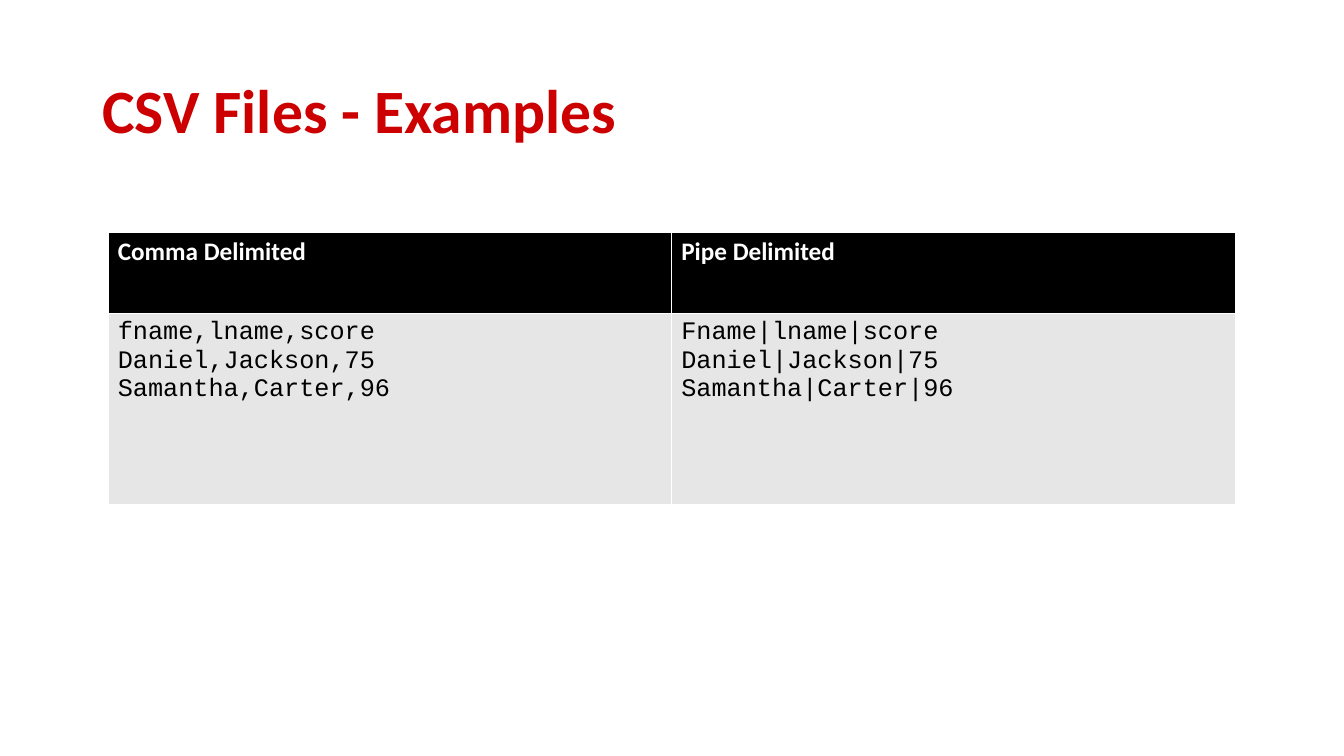
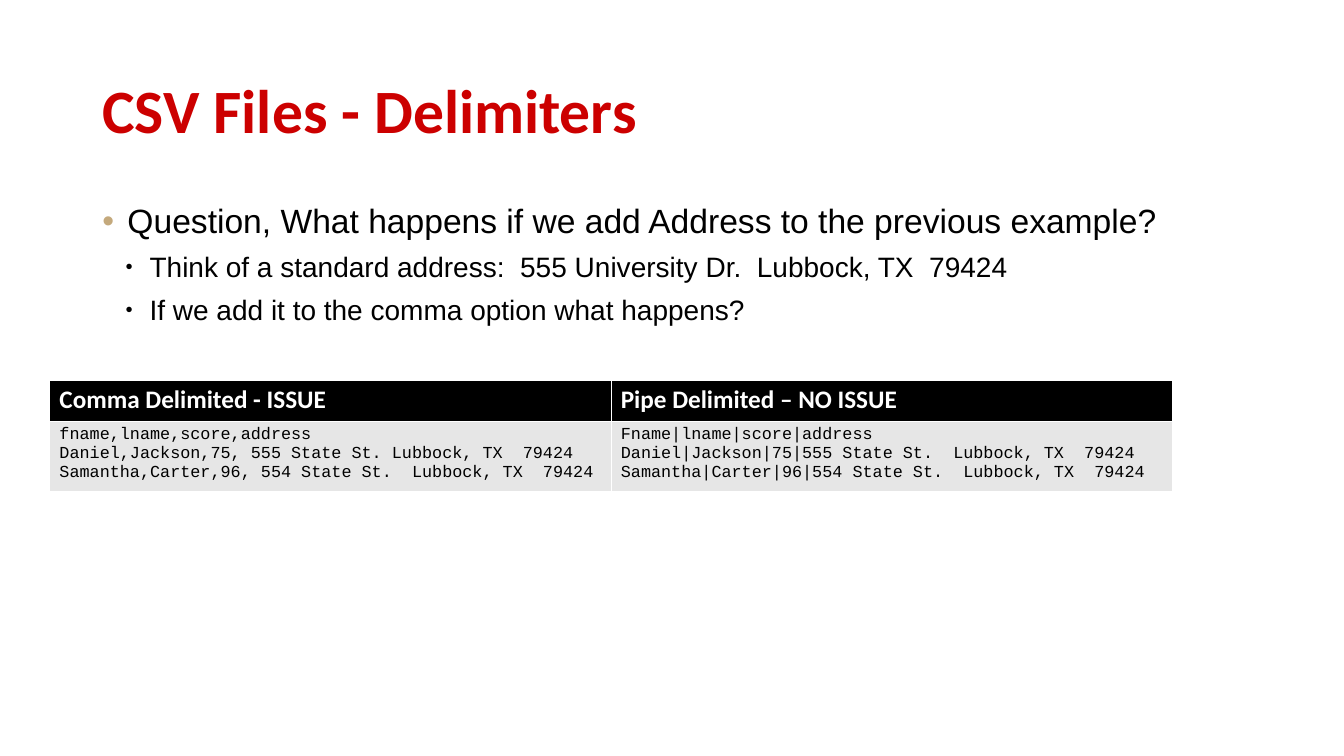
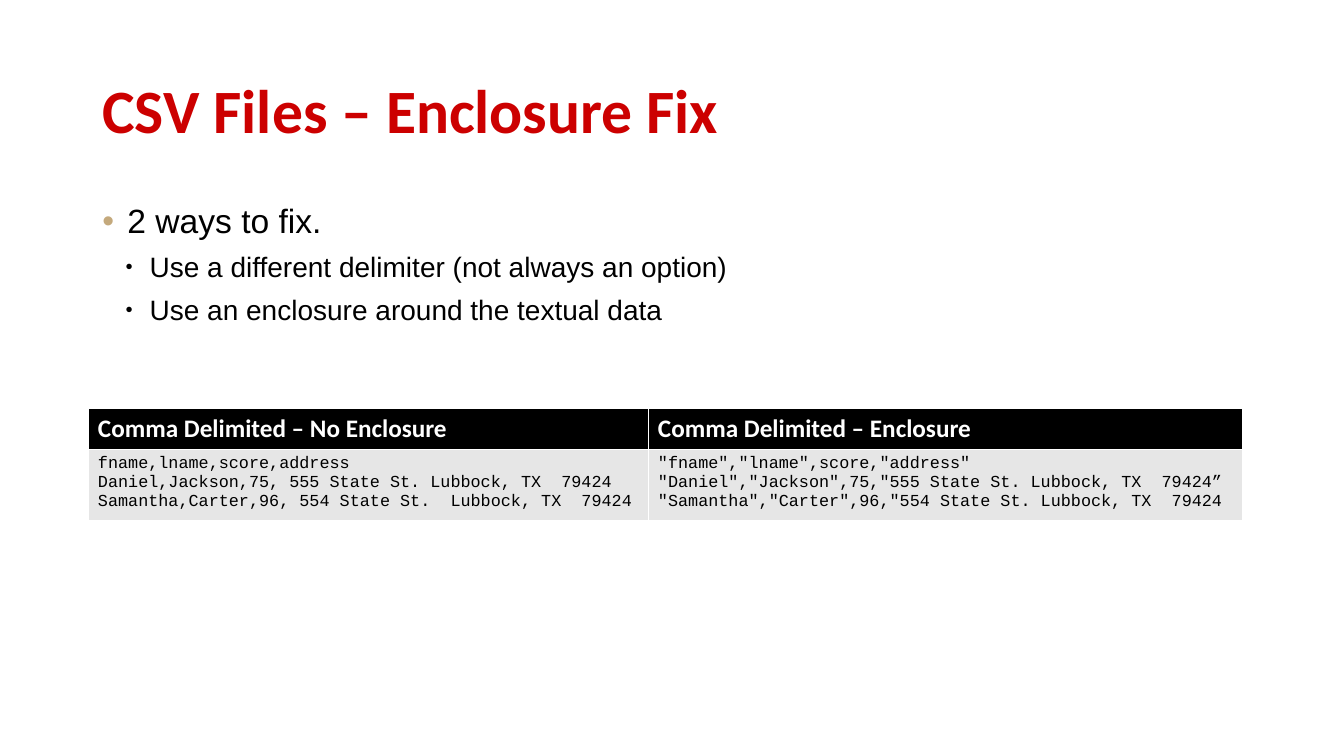
from dataclasses import dataclass

from lxml import etree
from pptx import Presentation
from pptx.dml.color import RGBColor
from pptx.enum.text import MSO_ANCHOR
from pptx.oxml.ns import qn
from pptx.util import Pt

MIDDLE, TOP = MSO_ANCHOR.MIDDLE, MSO_ANCHOR.TOP


@dataclass(frozen=True)
class Theme:
    red: str = "CC0000"
    tan: str = "C4A97C"
    black: str = "000000"
    white: str = "FFFFFF"
    grey: str = "E6E6E6"
    heading_font: str = "Calibri"
    body_font: str = "Arial"
    code_font: str = "Courier New"
    title_size: int = 44
    point_size: int = 24
    subpoint_size: int = 20
    header_size: int = 18
    border: float = 0.06


T = Theme()
TITLE_BOX = (66, 28.8, 828, 104.4)
BODY_BOX = (66, 144, 828, 342.7)


def write(p, text, *, size, font, color=T.black, bold=False,
          spacing=None, before=None):
    """Fill one paragraph with a formatted run."""
    if spacing is not None:
        p.line_spacing = spacing
    if before is not None:
        p.space_before = Pt(before)
    r = p.add_run()
    r.text = text
    r.font.size = Pt(size)
    r.font.name = font
    r.font.bold = bold
    r.font.color.rgb = RGBColor.from_string(color)


def paragraphs(tf, count):
    """Return the first paragraph of a frame and as many more as needed."""
    return [tf.paragraphs[0]] + [tf.add_paragraph() for _ in range(count - 1)]


def child(parent, tag, **attrs):
    el = etree.SubElement(parent, qn(tag))
    for name, value in attrs.items():
        el.set(name, str(value))
    return el


def bullet(p, char, color, indent, hang, percent=100):
    pPr = p._p.get_or_add_pPr()
    pPr.set("marL", str(Pt(indent)))
    pPr.set("indent", str(-Pt(hang)))
    child(child(pPr, "a:buClr"), "a:srgbClr", val=color)
    child(pPr, "a:buSzPct", val=percent * 1000)
    child(pPr, "a:buFont", typeface=T.body_font)
    child(pPr, "a:buChar", char=char)


def text_box(s, box, anchor):
    tf = s.shapes.add_textbox(*map(Pt, box)).text_frame
    tf.word_wrap = True
    tf.vertical_anchor = anchor
    return tf


def add_title(s, box, text):
    tf = text_box(s, box, MIDDLE)
    write(tf.paragraphs[0], text, size=T.title_size, font=T.heading_font,
          color=T.red, bold=True, spacing=0.9)


def add_points(s, box, point, subpoints):
    """One main point followed by its subpoints."""
    tf = text_box(s, box, TOP)
    first, *rest = paragraphs(tf, 1 + len(subpoints))
    fmt = dict(font=T.body_font, spacing=0.85, before=10)
    write(first, point, size=T.point_size, **fmt)
    bullet(first, "•", T.tan, 18, 18)
    for p, text in zip(rest, subpoints):
        p.level = 1
        write(p, text, size=T.subpoint_size, **fmt)
        bullet(p, "●", T.black, 33.8, 17.3, 45)


def style_cell(cell, fill):
    tcPr = cell._tc.get_or_add_tcPr()
    for side in ("a:lnL", "a:lnR", "a:lnT", "a:lnB"):
        ln = child(tcPr, side, w=Pt(T.border))
        child(child(ln, "a:solidFill"), "a:srgbClr", val=T.white)
    cell.fill.solid()
    cell.fill.fore_color.rgb = RGBColor.from_string(fill)


def add_samples(s, at, cols, rows, samples, code_size):
    """Table with a header and a block of file lines in each column."""
    box = (*at, sum(cols), sum(rows))
    table = s.shapes.add_table(2, len(cols), *map(Pt, box)).table
    table.first_row = table.horz_banding = False
    for row, height in zip(table.rows, rows):
        row.height = Pt(height)
    for i, (width, (header, lines)) in enumerate(zip(cols, samples)):
        table.columns[i].width = Pt(width)
        head, body = table.cell(0, i), table.cell(1, i)
        style_cell(head, T.black)
        style_cell(body, T.grey)
        write(head.text_frame.paragraphs[0], header, size=T.header_size,
              font=T.heading_font, color=T.white, bold=True)
        for p, line in zip(paragraphs(body.text_frame, len(lines)), lines):
            write(p, line, size=code_size, font=T.code_font)


# Content
COMMA_ADDRESSES = [
    "fname,lname,score,address",
    "Daniel,Jackson,75, 555 State St. Lubbock, TX  79424",
    "Samantha,Carter,96, 554 State St.  Lubbock, TX  79424",
]

SLIDES = [
    dict(
        title="CSV Files - Examples",
        table=dict(
            at=(77, 165.6), cols=(402.5, 402.5), rows=(58.3, 136.1),
            code_size=18,
            samples=[
                ("Comma Delimited", ["fname,lname,score",
                                     "Daniel,Jackson,75",
                                     "Samantha,Carter,96"]),
                ("Pipe Delimited", ["Fname|lname|score",
                                    "Daniel|Jackson|75",
                                    "Samantha|Carter|96"]),
            ]),
    ),
    dict(
        title="CSV Files - Delimiters",
        points=("Question, What happens if we add Address to the previous example?",
                ["Think of a standard address:  555 University Dr.  Lubbock, TX  79424",
                 "If we add it to the comma option what happens?"]),
        table=dict(
            at=(35.3, 271.4), cols=(401, 401), rows=(29.2, 29.2),
            code_size=12,
            samples=[
                ("Comma Delimited - ISSUE", COMMA_ADDRESSES),
                ("Pipe Delimited – NO ISSUE", [
                    "Fname|lname|score|address",
                    "Daniel|Jackson|75|555 State St.  Lubbock, TX  79424",
                    "Samantha|Carter|96|554 State St.  Lubbock, TX  79424"]),
            ]),
    ),
    dict(
        title="CSV Files – Enclosure Fix",
        points=("2 ways to fix.",
                ["Use a different delimiter (not always an option)",
                 "Use an enclosure around the textual data"]),
        table=dict(
            at=(62.8, 291.6), cols=(400, 424.6), rows=(29.2, 29.2),
            code_size=12,
            samples=[
                ("Comma Delimited – No Enclosure", COMMA_ADDRESSES),
                ("Comma Delimited – Enclosure", [
                    '"fname","lname",score,"address"',
                    '"Daniel","Jackson",75,"555 State St. Lubbock, TX  79424”',
                    '"Samantha","Carter",96,"554 State St. Lubbock, TX  79424']),
            ]),
    ),
]


def add_slide(prs, title, table, points=None):
    s = prs.slides.add_slide(prs.slide_layouts[6])
    add_title(s, TITLE_BOX, title)
    if points:
        add_points(s, BODY_BOX, *points)
    add_samples(s, **table)


def main():
    prs = Presentation()
    prs.slide_width, prs.slide_height = Pt(960), Pt(540)
    for content in SLIDES:
        add_slide(prs, **content)
    prs.save("out.pptx")


if __name__ == "__main__":
    main()
